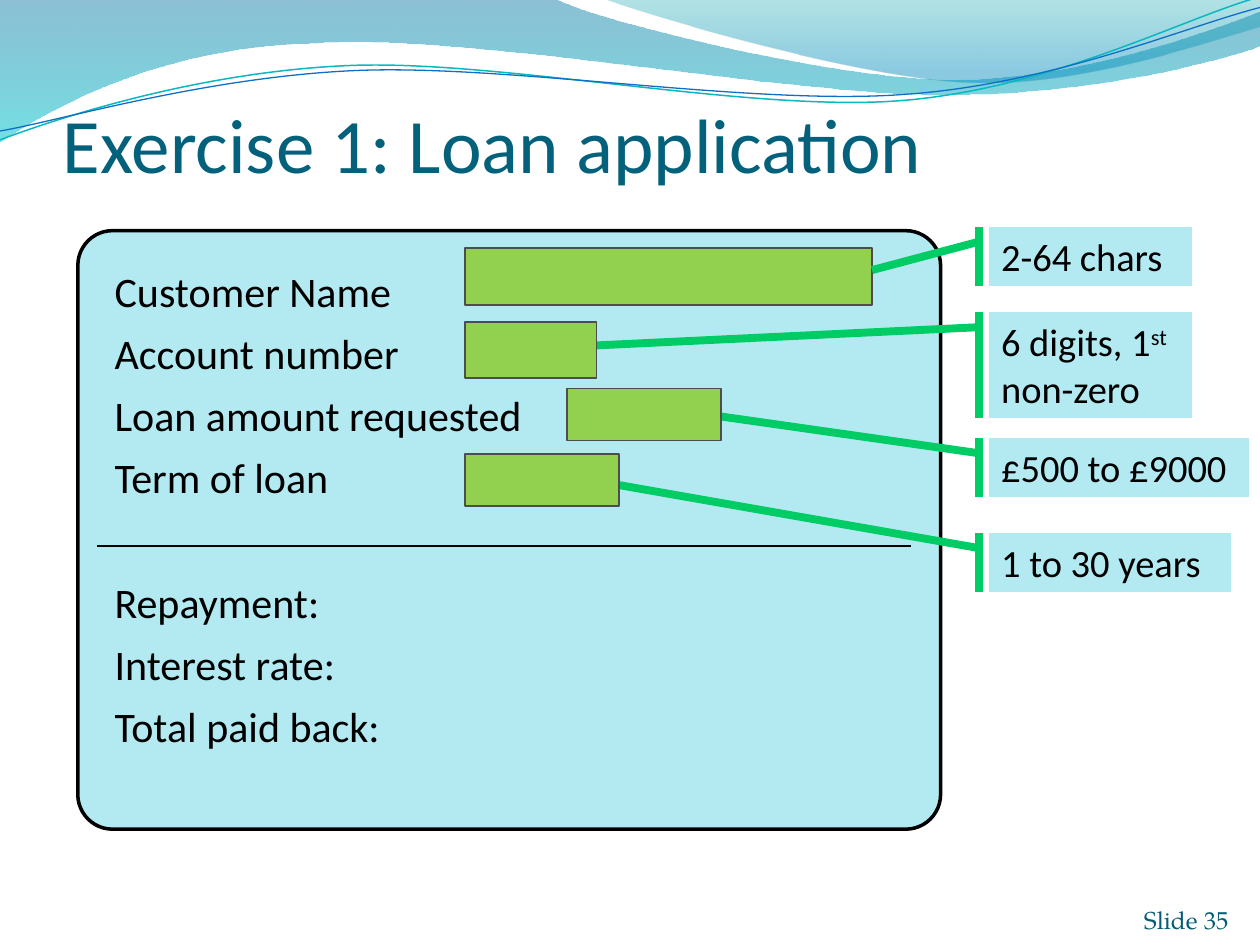
from math import cos, radians, sin

from lxml.etree import SubElement
from pptx import Presentation
from pptx.dml.color import RGBColor
from pptx.enum.shapes import MSO_CONNECTOR, MSO_SHAPE as Preset
from pptx.enum.text import MSO_ANCHOR as Anchor, PP_ALIGN as Align
from pptx.oxml.ns import qn
from pptx.util import Pt

PALE, GREEN, ACCENT = "B3EAF2", "92D050", "00CC66"

# Form labels with the space before each; the second group starts lower
GAP, GROUP_GAP = 10.08, 45.8
LABELS = [
    ("Customer Name", 0), ("Account number", GAP),
    ("Loan amount requested", GAP), ("Term of loan", GAP),
    ("Repayment:", GROUP_GAP), ("Interest rate:", GAP), ("Total paid back:", GAP),
]

# Each field box, its rule, the rule's box and the height where the pointer lands
FIELDS = [
    dict(box=(265.7, 141.8, 232.6, 32.4), rule=["2-64 chars"],
         note=(129.6, 116.4, 33.8), target=154.4),
    dict(box=(265.7, 183.8, 75.2, 32.4), rule=["6 digits, 1^st", "non-zero"],
         note=(178.4, 116.4, 60.5), target=197.4),
    dict(box=(324, 222, 88, 29.7), rule=["£500 to £9000"],
         note=(250.4, 148.8, 33.8), target=238),
    dict(box=(265.7, 259.4, 88, 29.7), rule=["1 to 30 years"],
         note=(304.6, 138.2, 33.8), target=277.2),
]
NOTE_LEFT, BAR_OFFSET, BAR_JOIN = 565, -5.8, 8.6

# Header waves in inches: a start, then points (2 numbers) or curves (6 numbers)
WAVES = [
    dict(start=(0, 0), steps=[
        (4.4, -0.01), (4.76, 0.17, 6.64, 0.63, 7.58, 0.63),
        (8.53, 0.63, 9.58, 0.26, 10, 0.09), (10.01, 0.36),
        (9.83, 0.44, 8.7, 0.76, 7.46, 0.75), (6.22, 0.75, 3.82, 0.28, 2.57, 0.34),
        (1.29, 0.36, 0.46, 0.83, -0.01, 1.13)],
        stops=[(0, "0074A1", 45), (1, "00C6CF", 55)]),
    dict(start=(4.79, -0.01), steps=[
        (5.09, 0.11, 6.82, 0.62, 7.69, 0.65),
        (8.56, 0.69, 9.61, 0.32, 10, 0.21), (10, 0)],
        stops=[(0, "00A1A9", 30), (0.8, "008BBF", 45)]),
    dict(start=(0, 1.11), steps=[
        (0.48, 0.93, 1.58, 0.57, 2.77, 0.52), (3.95, 0.47, 5.93, 0.89, 7.13, 0.8),
        (8.33, 0.71, 9.38, 0.15, 9.98, -0.02)],
        line=("0AB8BF", 0.85), center=(4.99, 0.58), tilt=-2.7),
    dict(start=(0, 1.04), steps=[
        (0.47, 0.96, 1.64, 0.61, 2.83, 0.56), (4.03, 0.51, 5.97, 0.84, 7.17, 0.75),
        (8.36, 0.67, 9.41, 0.21, 10, 0.06)],
        line=("0F6FC6", 0.75), center=(5, 0.59), tilt=-2.7),
]


def color(value):
    return RGBColor.from_string(value)


def style(shape, fill=None, line=None):
    shape.shadow.inherit = False
    if fill:
        shape.fill.solid()
        shape.fill.fore_color.rgb = color(fill)
    else:
        shape.fill.background()
    if line:
        shape.line.color.rgb = color(line[0])
        shape.line.width = Pt(line[1])
    else:
        shape.line.fill.background()
    return shape


def add_box(shapes, preset, box, fill=None, line=None):
    return style(shapes.add_shape(preset, *map(Pt, box)), fill, line)


def write(shape, lines, size=22, font="Calibri", ink="000000", align=Align.LEFT,
          anchor=Anchor.TOP, insets=(7.2, 3.6, 7.2, 3.6), spacing=None, gaps=None):
    """Fill a shape with one paragraph per line; text after ^ is superscript."""
    frame = shape.text_frame
    frame.word_wrap, frame.vertical_anchor = True, anchor
    (frame.margin_left, frame.margin_top,
     frame.margin_right, frame.margin_bottom) = map(Pt, insets)
    for index, text in enumerate(lines):
        paragraph = frame.add_paragraph() if index else frame.paragraphs[0]
        paragraph.alignment = align
        if spacing:
            paragraph.line_spacing = spacing
        if gaps and gaps[index]:
            paragraph.space_before = Pt(gaps[index])
        for level, part in enumerate(text.split("^")):
            run = paragraph.add_run()
            run.text = part
            run.font.size, run.font.name = Pt(size), font
            run.font.color.rgb = color(ink)
            if level:
                run._r.get_or_add_rPr().set("baseline", "30000")


def turn(point, center, degrees):
    """Turn a point in inches about a center and give it as lengths."""
    x, y = point[0] - center[0], point[1] - center[1]
    c, s = cos(radians(degrees)), sin(radians(degrees))
    return (Pt(72 * (center[0] + x * c - y * s)), Pt(72 * (center[1] + x * s + y * c)))


def add_wave(shapes, start, steps, stops=None, line=None, center=(0, 0), tilt=0):
    # Lay out every knot as a line segment, then join the knots of each curve
    knots = [start] + [step[i:i + 2] for step in steps for i in range(0, len(step), 2)]
    points = [turn(knot, center, -tilt) for knot in knots]
    builder = shapes.build_freeform(*points[0], scale=1.0)
    builder.add_line_segments(points[1:], close=bool(stops))
    wave = style(builder.convert_to_shape(), line=line)
    wave.rotation = tilt
    segments = iter(list(wave._element.iter(qn("a:lnTo"))))
    for step in steps:
        first = next(segments)
        if len(step) == 6:
            curve = first.makeelement(qn("a:cubicBezTo"))
            first.addprevious(curve)
            for segment in (first, next(segments), next(segments)):
                curve.append(segment[0])
                segment.getparent().remove(segment)
    if stops:
        wave.fill.gradient()
        wave.fill.gradient_angle = 270
        for stop, (position, value, alpha) in zip(wave.fill.gradient_stops, stops):
            stop.position = position
            stop.color.rgb = color(value)
        for node, (_, _, alpha) in zip(wave._element.iter(qn("a:srgbClr")), stops):
            SubElement(node, qn("a:alpha")).set("val", str(alpha * 1000))


def add_rule_note(shapes, box, rule, note, target):
    top, width, height = note
    callout = add_box(shapes, Preset.LINE_CALLOUT_1_ACCENT_BAR,
                      (NOTE_LEFT, top, width, height), PALE, (ACCENT, 4.5))
    pointer = (BAR_JOIN / height, BAR_OFFSET / width,
               (target - top) / height, (box[0] + box[2] - NOTE_LEFT) / width)
    for index, value in enumerate(pointer):
        callout.adjustments[index] = value
    write(callout, rule)


def main():
    presentation = Presentation()
    presentation.slide_width, presentation.slide_height = Pt(720), Pt(540)
    slide = presentation.slides.add_slide(presentation.slide_layouts[6])
    shapes = slide.shapes

    # Header waves
    for wave in WAVES:
        add_wave(shapes, **wave)

    # Form panel and labels
    panel = add_box(shapes, Preset.ROUNDED_RECTANGLE, (44.5, 131.8, 493, 342),
                    PALE, ("000000", 2))
    panel.adjustments[0] = 0.058
    form = add_box(shapes, Preset.RECTANGLE, (60.5, 153.4, 437.8, 294.5), PALE)
    texts, gaps = zip(*LABELS)
    write(form, texts, size=24, insets=(5, 2.2, 5, 2.2), spacing=0.88, gaps=gaps)

    # Lower rules with their pointers, then the input fields
    for field in FIELDS[1:]:
        add_rule_note(shapes, **field)
    for field in FIELDS:
        add_box(shapes, Preset.RECTANGLE, field["box"], GREEN, ("4D4D4D", 1))

    # Divider between input and result, then the top rule
    divider = shapes.add_connector(MSO_CONNECTOR.STRAIGHT,
                                   *map(Pt, (55.4, 312, 520.6, 312)))
    divider.line.color.rgb = color("000000")
    divider.line.width = Pt(1)
    SubElement(divider._element.spPr, qn("a:effectLst"))
    add_rule_note(shapes, **FIELDS[0])

    # Title and slide number
    title = shapes.add_textbox(*map(Pt, (36, 30.2, 660.2, 77.8)))
    write(title, ["Exercise 1: Loan application"], size=44, ink="04617B",
          anchor=Anchor.BOTTOM, insets=(0, 3.6, 0, 0))
    number = shapes.add_textbox(*map(Pt, (642.2, 505.4, 59.8, 28.8)))
    write(number, ["Slide 35"], size=14, font="TeX Gyre Pagella", ink="045D75",
          align=Align.RIGHT, anchor=Anchor.BOTTOM, insets=(0, 0, 0, 0))

    presentation.save("out.pptx")


if __name__ == "__main__":
    main()
